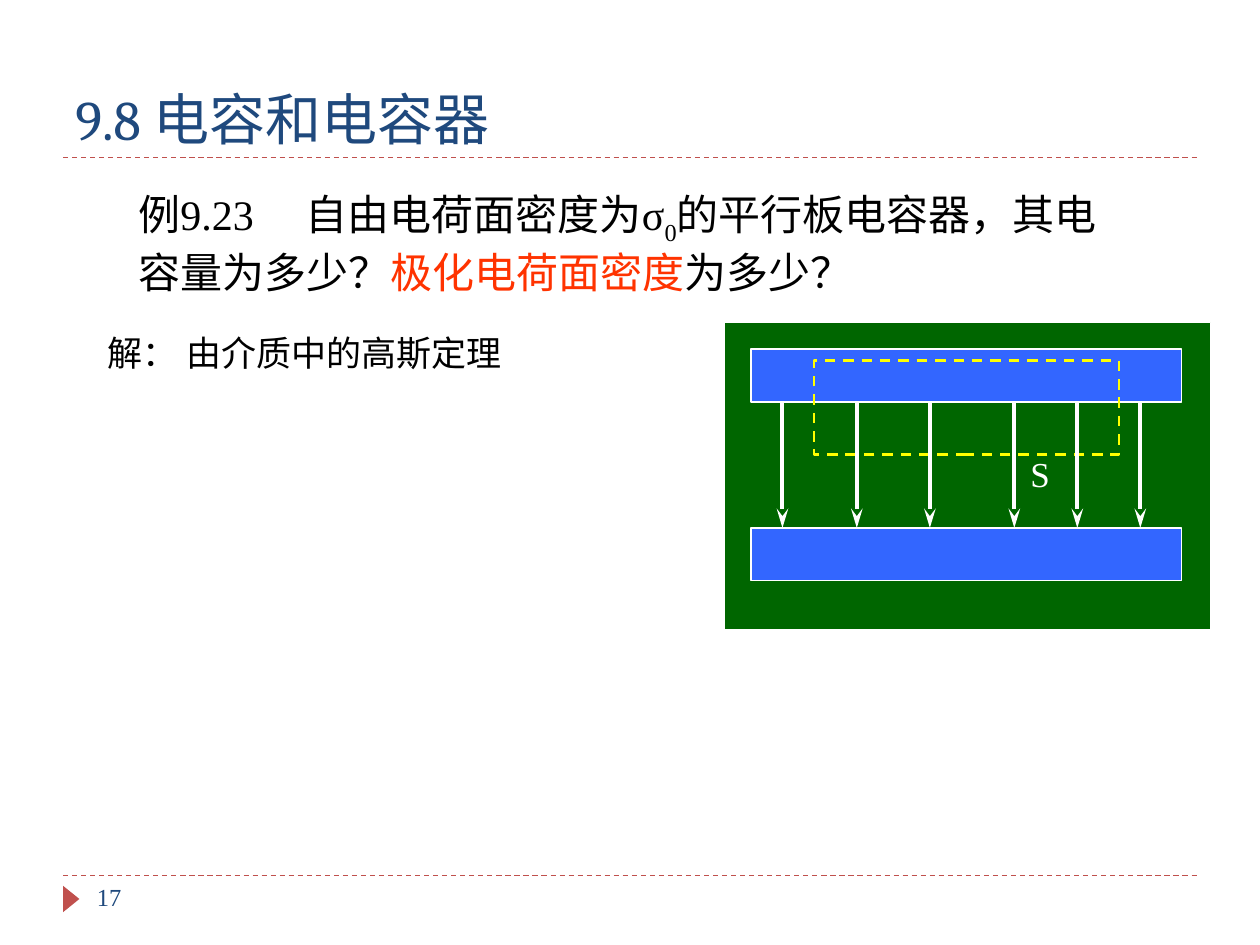
import dataclasses

import lxml.etree
import pptx
import pptx.dml.color
import pptx.enum.dml
import pptx.enum.shapes
import pptx.enum.text
import pptx.oxml.ns
import pptx.util

Inches = pptx.util.Inches
Shape = pptx.enum.shapes.MSO_SHAPE
Anchor = pptx.enum.text.MSO_ANCHOR
Align = pptx.enum.text.PP_ALIGN
AutoSize = pptx.enum.text.MSO_AUTO_SIZE
Dash = pptx.enum.dml.MSO_LINE


@dataclasses.dataclass(frozen=True)
class Theme:
    heading_font: str = "Cambria"
    body_font: str = "Times New Roman"
    navy: str = "1F497D"
    accent: str = "C0504D"
    black: str = "000000"
    emphasis: str = "FF3300"
    white: str = "FFFFFF"
    backdrop: str = "006600"
    plate: str = "3366FF"
    surface: str = "FFFF00"
    title_size: int = 32
    problem_size: int = 24
    body_size: int = 20
    number_size: int = 14


THEME = Theme()


def rgb(color):
    return pptx.dml.color.RGBColor.from_string(color)


def add_element(parent, tag, **attributes):
    return lxml.etree.SubElement(parent, pptx.oxml.ns.qn(tag), attributes)


def add_span(para, text, size=THEME.body_size, color=THEME.black,
             font=THEME.body_font, baseline=None):
    span = para.add_run()
    span.text = text
    span.font.size = pptx.util.Pt(size)
    span.font.name = font
    span.font.color.rgb = rgb(color)
    if baseline is not None:
        span.font._element.set("baseline", str(baseline))


def add_box(page, left, top, width, height, anchor=Anchor.TOP, align=Align.LEFT, wrap=True):
    box = page.shapes.add_textbox(Inches(left), Inches(top), Inches(width), Inches(height))
    box.text_frame.word_wrap = wrap
    if not wrap:
        box.text_frame.auto_size = AutoSize.SHAPE_TO_FIT_TEXT
    box.text_frame.vertical_anchor = anchor
    para = box.text_frame.paragraphs[0]
    para.alignment = align
    return para


def add_tab_stop(para, position):
    tabs = add_element(para._p.get_or_add_pPr(), "a:tabLst")
    add_element(tabs, "a:tab", pos=str(Inches(position)), algn="l")


def style_line(line, color, width, dash=None):
    line.color.rgb = rgb(color)
    line.width = pptx.util.Pt(width)
    if dash is not None:
        line.dash_style = dash


def add_figure(page, kind, left, top, width, height, fill=None, line=None,
               line_width=0.75, dash=None, rotation=0):
    figure = page.shapes.add_shape(
        kind, Inches(left), Inches(top), Inches(width), Inches(height))
    figure.shadow.inherit = False
    figure.rotation = rotation
    if fill:
        figure.fill.solid()
        figure.fill.fore_color.rgb = rgb(fill)
    else:
        figure.fill.background()
    if line:
        style_line(figure.line, line, line_width, dash)
    else:
        figure.line.fill.background()


def add_line(page, start, end, color, width, dash=None, arrow=False):
    connector = page.shapes.add_connector(
        pptx.enum.shapes.MSO_CONNECTOR.STRAIGHT, *map(Inches, start + end))
    style_line(connector.line, color, width, dash)
    if arrow:
        add_element(connector.line._get_or_add_ln(), "a:tailEnd", type="stealth", len="lg")
    add_element(connector._element.spPr, "a:effectLst")


def add_frame(page):
    for y in (6.95, 1.25):
        add_line(page, (0.5, y), (9.5, y), THEME.accent, 0.75, dash=Dash.DASH)
    add_figure(page, Shape.ISOSCELES_TRIANGLE, 0.46, 7.07, 0.21, 0.13,
               fill=THEME.accent, rotation=90)
    title = add_box(page, 0.5, 0.25, 9, 1, anchor=Anchor.BOTTOM)
    add_span(title, "9.8 电容和电容器", size=THEME.title_size, color=THEME.navy,
             font=THEME.heading_font)
    number = add_box(page, 0.67, 6.95, 2.17, 0.4)
    add_span(number, "17", size=THEME.number_size, color=THEME.navy)


def add_problem(page):
    para = add_box(page, 1, 1.45, 8.08, 0.91)
    add_tab_stop(para, 1.33)
    size = THEME.problem_size
    add_span(para, "例9.23\t自由电荷面密度为σ", size=size)
    add_span(para, "0", size=size, baseline=-25000)
    add_span(para, "的平行板电容器，其电容量为多少？", size=size)
    add_span(para, "极化电荷面密度", size=size, color=THEME.emphasis)
    add_span(para, "为多少？", size=size)


def add_solution(page):
    for text, left, width in (("解：", 0.75, 0.76), ("由介质中的高斯定理", 1.36, 2.74)):
        para = add_box(page, left, 2.58, width, 0.43, anchor=Anchor.MIDDLE,
                       align=Align.CENTER, wrap=False)
        add_span(para, text)


def add_capacitor(page):
    upper_top, lower_top, plate_height = 2.77, 4.19, 0.42
    add_figure(page, Shape.RECTANGLE, 5.75, 2.56, 3.86, 2.44,
               fill=THEME.backdrop, line=THEME.white)
    for top in (upper_top, lower_top):
        add_figure(page, Shape.RECTANGLE, 5.96, top, 3.42, plate_height,
                   fill=THEME.plate, line=THEME.white)
    add_figure(page, Shape.RECTANGLE, 6.46, 2.86, 2.42, 0.75,
               line=THEME.surface, line_width=1.5, dash=Dash.DASH)
    for x in (6.21, 6.8, 7.38, 8.05, 8.55, 9.05):
        add_line(page, (x, upper_top + plate_height), (x, lower_top),
                 THEME.white, 2.25, arrow=True)
    label = add_box(page, 8.08, 3.54, 0.36, 0.43, wrap=False)
    add_span(label, "S", color=THEME.white)


def main():
    deck = pptx.Presentation()
    deck.slide_width, deck.slide_height = Inches(10), Inches(7.5)
    page = deck.slides.add_slide(deck.slide_layouts[6])
    add_frame(page)
    add_problem(page)
    add_solution(page)
    add_capacitor(page)
    deck.save("out.pptx")


if __name__ == "__main__":
    main()
